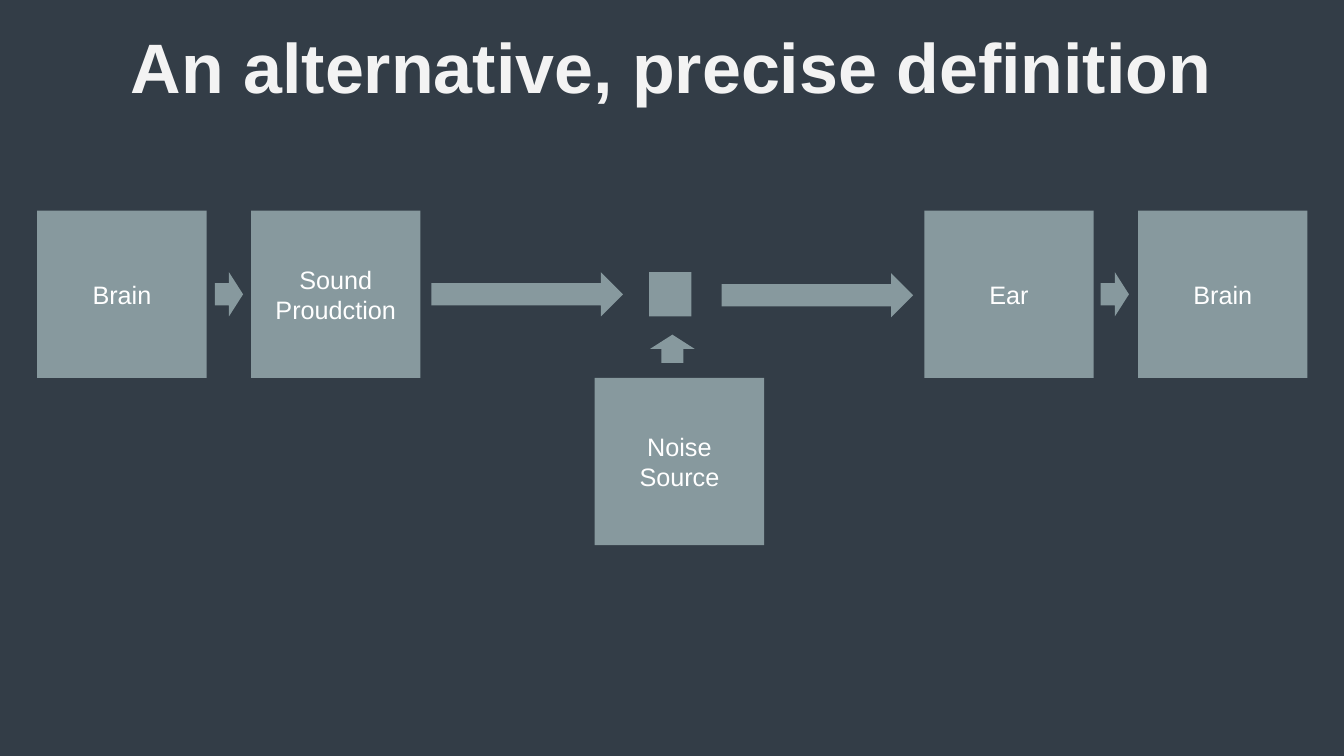
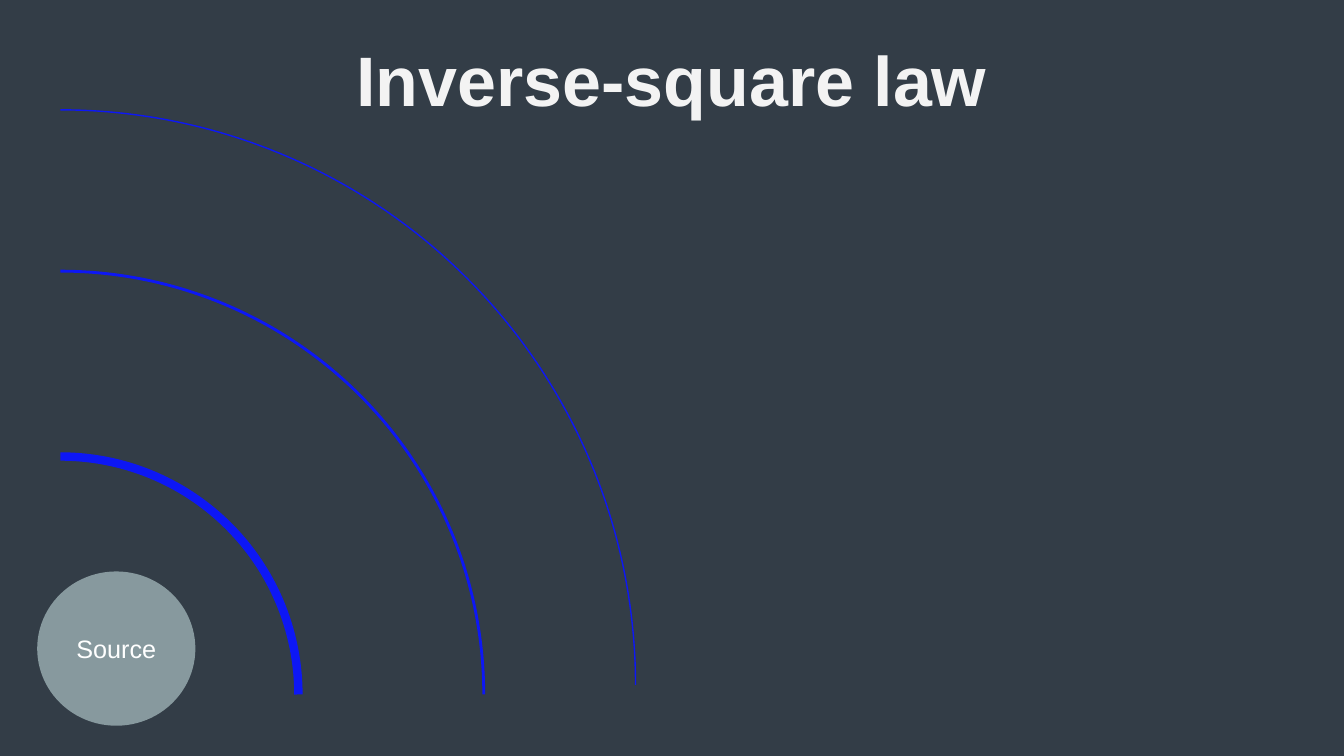
from dataclasses import dataclass

import pptx
import pptx.dml.color
import pptx.enum.shapes
import pptx.enum.text
import pptx.presentation
import pptx.shapes.autoshape
import pptx.slide
import pptx.text.text
import pptx.util

Pt = pptx.util.Pt
RGBColor = pptx.dml.color.RGBColor
Preset = pptx.enum.shapes.MSO_SHAPE

BACKGROUND = RGBColor(0x33, 0x3D, 0x47)
TITLE_COLOR = RGBColor(0xF3, 0xF3, 0xF3)
SHAPE_COLOR = RGBColor(0x87, 0x99, 0x9E)
LABEL_COLOR = RGBColor(0xFF, 0xFF, 0xFF)
WAVE_COLOR = RGBColor(0x0D, 0x17, 0xF5)
FONT = "Arial"

BOX_WIDTH, BOX_HEIGHT = 121, 119.5
CHAIN_TOP = 150.5
ARROW_TOP, ARROW_HEIGHT = 194.4, 31.7
SHORT_ARROW, LONG_ARROW = 20.2, 136.8
WAVE_CENTER_X = 43.2


@dataclass(frozen=True)
class Node:
    """A filled shape, with a label if it has one; lengths in points."""
    left: float
    top: float
    width: float
    height: float
    label: str = ""
    preset: Preset = Preset.RECTANGLE
    rotation: float = 0


@dataclass(frozen=True)
class Wave:
    """A quarter circle around the sound source; lengths in points."""
    radius: float
    center_y: float
    line_width: float


def box(left: float, label: str, top: float = CHAIN_TOP) -> Node:
    return Node(left, top, BOX_WIDTH, BOX_HEIGHT, label)


def arrow(left: float, length: float, top: float = ARROW_TOP, rotation: float = 0) -> Node:
    return Node(left, top, length, ARROW_HEIGHT, "", Preset.RIGHT_ARROW, rotation)


CHANNEL = (
    box(26.6, "Brain"),
    box(179.3, "Sound Proudction"),
    box(660.2, "Ear"),
    box(812.9, "Brain"),
    arrow(153.4, SHORT_ARROW),
    arrow(786.2, SHORT_ARROW),
    Node(463.7, ARROW_TOP, 30.2, ARROW_HEIGHT),
    arrow(308.2, LONG_ARROW),
    arrow(515.5, LONG_ARROW, top=195.1),
    box(424.8, "Noise Source", top=270),
    arrow(470.2, SHORT_ARROW, top=233.3, rotation=270),
)
SOURCE = Node(26.6, 408.2, 113, 110.2, "Source", Preset.OVAL)
WAVES = (Wave(170, 496.1, 6), Wave(302.4, 496.1, 2), Wave(410.8, 489.3, 1))


def write_text(frame: pptx.text.text.TextFrame, text: str, size: float,
               color: RGBColor, bold: bool = False) -> None:
    frame.word_wrap = True
    frame.vertical_anchor = pptx.enum.text.MSO_ANCHOR.MIDDLE
    paragraph = frame.paragraphs[0]
    paragraph.alignment = pptx.enum.text.PP_ALIGN.CENTER
    run = paragraph.add_run()
    run.text = text
    run.font.name = FONT
    run.font.size = Pt(size)
    run.font.bold = bold
    run.font.color.rgb = color


def add_titled_slide(presentation: pptx.presentation.Presentation,
                     title: str, title_top: float) -> pptx.slide.Slide:
    slide = presentation.slides.add_slide(presentation.slide_layouts[6])
    text_box = slide.shapes.add_textbox(Pt(16.6), Pt(title_top), Pt(926.6), Pt(59))
    frame = text_box.text_frame
    frame.margin_left = frame.margin_right = frame.margin_top = frame.margin_bottom = 0
    write_text(frame, title, 50, TITLE_COLOR, bold=True)
    frame.paragraphs[0].line_spacing = 1.05
    return slide


def add_node(slide: pptx.slide.Slide, node: Node) -> None:
    shape = slide.shapes.add_shape(node.preset, Pt(node.left), Pt(node.top),
                                   Pt(node.width), Pt(node.height))
    shape.rotation = node.rotation
    shape.shadow.inherit = False
    shape.fill.solid()
    shape.fill.fore_color.rgb = SHAPE_COLOR
    shape.line.fill.background()
    if node.label:
        write_text(shape.text_frame, node.label, 18, LABEL_COLOR)


def add_wave(slide: pptx.slide.Slide, wave: Wave) -> None:
    diameter = Pt(2 * wave.radius)
    shape = slide.shapes.add_shape(Preset.ARC, Pt(WAVE_CENTER_X - wave.radius),
                                   Pt(wave.center_y - wave.radius), diameter, diameter)
    shape.shadow.inherit = False
    shape.fill.background()
    shape.line.color.rgb = WAVE_COLOR
    shape.line.width = Pt(wave.line_width)


def main() -> None:
    presentation = pptx.Presentation()
    presentation.slide_width, presentation.slide_height = Pt(960), Pt(540)
    background = presentation.slide_master.background.fill
    background.solid()
    background.fore_color.rgb = BACKGROUND

    channel_slide = add_titled_slide(presentation, "An alternative, precise definition", 15.8)
    for node in CHANNEL:
        add_node(channel_slide, node)

    law_slide = add_titled_slide(presentation, "Inverse-square law", 25.2)
    add_node(law_slide, SOURCE)
    for wave in WAVES:
        add_wave(law_slide, wave)

    presentation.save("out.pptx")


if __name__ == "__main__":
    main()
